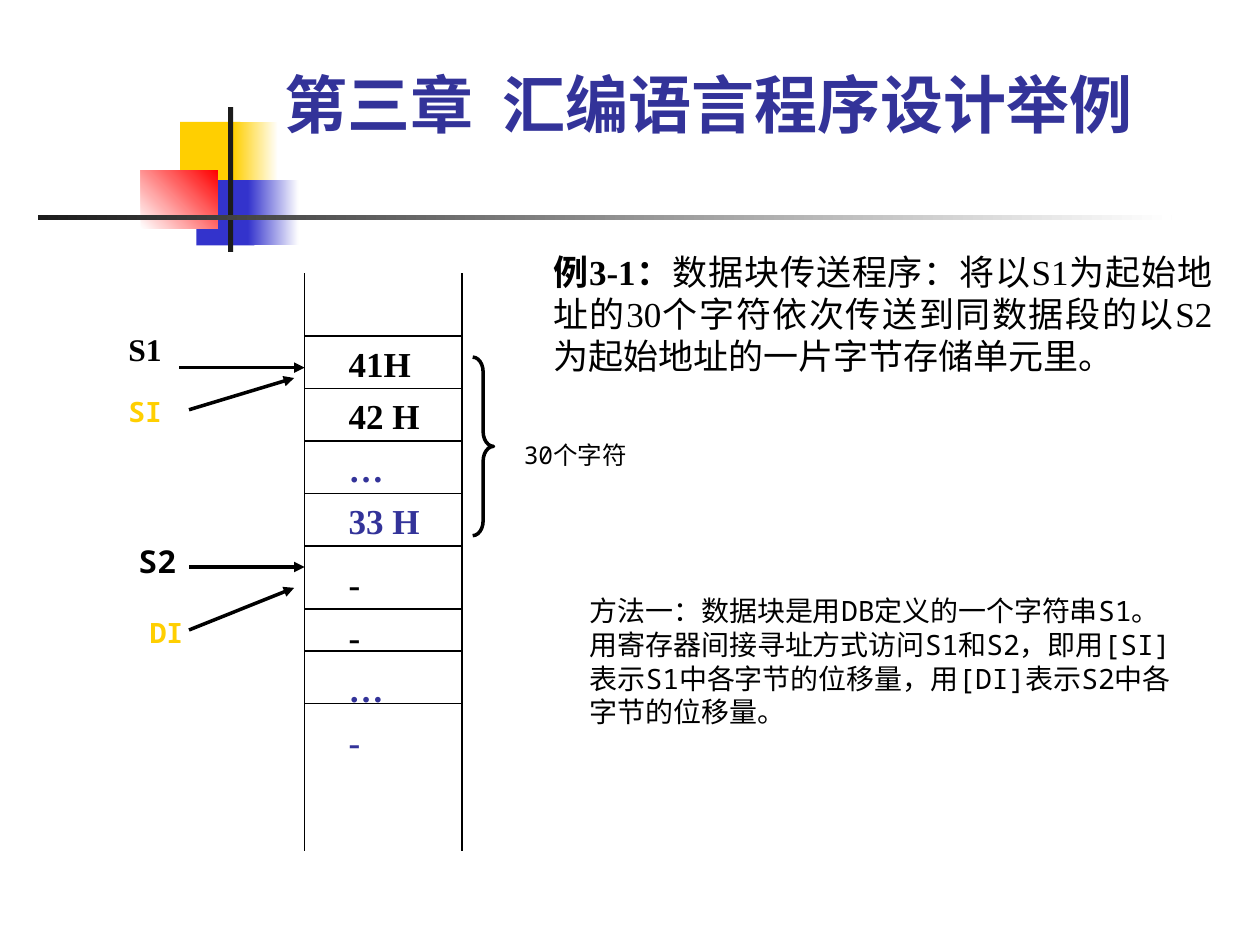
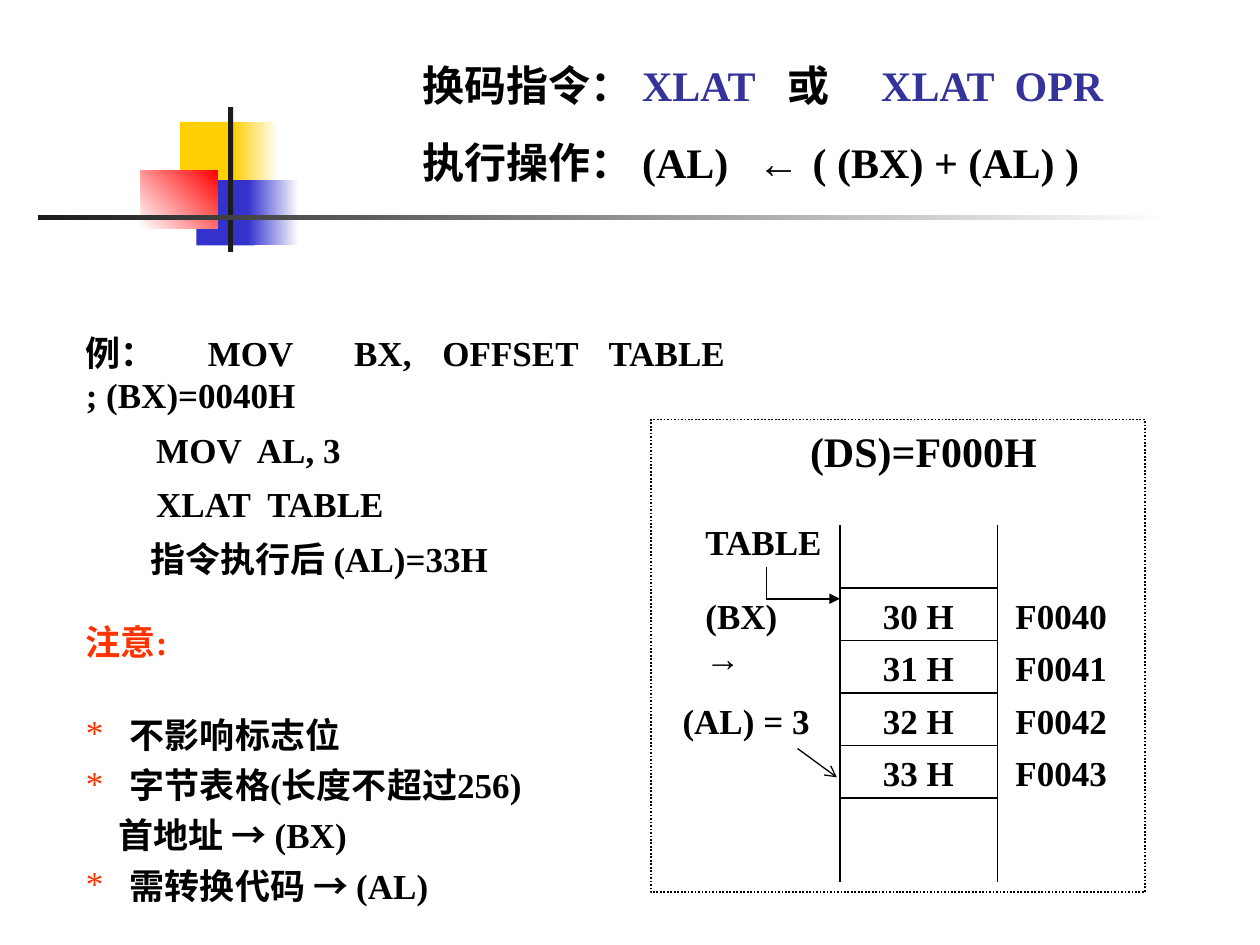
from lxml import etree
from pptx import Presentation
from pptx import util as u
from pptx.dml.color import RGBColor
from pptx.enum import dml, shapes, text
from pptx.oxml.ns import qn

BLACK = RGBColor(0x00, 0x00, 0x00)
WHITE = RGBColor(0xFF, 0xFF, 0xFF)
INK = RGBColor(0x1C, 0x1C, 0x1C)
INDIGO = RGBColor(0x33, 0x33, 0x99)
BLUE = RGBColor(0x33, 0x33, 0xCC)
YELLOW = RGBColor(0xFF, 0xCF, 0x01)
RED = RGBColor(0xFF, 0x00, 0x00)
ORANGE = RGBColor(0xFF, 0x33, 0x00)
SERIF, MONO, HAN, SANS = "Times New Roman", "Noto Sans Mono", "Noto Sans CJK SC", "Arial"

# Shared band: left, top, width, height (cm), start colour, end colour, angle
BAND = [
    (3.63, 2.46, 1.22, 1.32, YELLOW, None, 0),
    (4.70, 2.46, 0.91, 1.32, YELLOW, WHITE, 0),
    (3.96, 3.63, 1.17, 1.32, BLUE, None, 0),
    (5.00, 3.63, 1.02, 1.32, BLUE, WHITE, 0),
    (2.84, 3.43, 1.55, 1.17, WHITE, RED, 45),
    (4.60, 2.16, 0.10, 2.92, INK, None, 0),
    (0.76, 4.34, 22.86, 0.10, INK, WHITE, 0),
]
CELL_WIDTH, CELL_HEIGHT = 3.18, 1.06

# A paragraph is (runs, format); a run is a string or (string, format).
# Slide 1: block transfer
CHAPTER = [(["第三章\t汇编语言程序设计举例"], {"tabs": [4.38]})]
TASK = [([("例3-1：", {"bold": True}),
          "数据块传送程序：将以S1为起始地址的30个字符依次传送到同数据段的以S2为起始地址的一片字节存储单元里。"],
         {"align": text.PP_ALIGN.JUSTIFY})]
METHOD = ("方法一：数据块是用DB定义的一个字符串S1。用寄存器间接寻址方式访问S1和S2，"
          "即用[SI]表示S1中各字节的位移量，用[DI]表示S2中各字节的位移量。")
SOURCE_CELLS = [("41H", BLACK), ("42 H", BLACK), ("…", INDIGO), ("33 H", INDIGO)]
TARGET_CELLS = [("-", BLACK), ("-", BLACK), ("…", INDIGO), ("-", INDIGO)]
POINTERS = [  # label, left, top, format, arrow ends
    ("S1", 2.34, 6.53, {"size": 18, "font": SERIF}, (3.61, 7.41, 6.14, 7.41)),
    ("SI", 2.34, 7.83, {"size": 16, "color": YELLOW}, (3.81, 8.26, 5.93, 7.62)),
    ("S2", 2.54, 10.80, {"size": 18}, (3.81, 11.43, 6.14, 11.43)),
    ("DI", 2.77, 12.28, {"size": 16, "color": YELLOW}, (3.81, 12.70, 5.93, 11.85)),
]

# Slide 2: XLAT instruction
XLAT_HEAD = [
    (["换码指令：\t", ("XLAT\t", {"color": INDIGO}), "或\t", ("XLAT\tOPR", {"color": INDIGO})],
     {"tabs": [4.43, 7.37, 9.25, 11.94]}),
    (["执行操作：\t(AL)\t", ("←", {"font": SANS}), "\t( (BX) + (AL) )"],
     {"tabs": [4.43, 6.76, 7.87], "before": 15}),
]
ARROW = ("→", {"font": SANS})
STAR = {"bullet": "*", "indent": 0.89, "spacing": 1.2}
EXAMPLE = [
    (["例：\tMOV\tBX,\tOFFSET\tTABLE\t; (BX)=0040H"],
     {"tabs": [2.46, 5.41, 7.19, 10.54, 14.73]}),
    (["\tMOV\tAL, 3"], {"tabs": [1.42, 3.45], "spacing": 1.3}),
    (["\tXLAT\tTABLE"], {"tabs": [1.42, 3.66], "spacing": 1.3}),
    (["\t指令执行后 (AL)=33H"], {"tabs": [1.3], "spacing": 1.3}),
    ([("注意:", {"color": ORANGE})], {"before": 23.5}),
    (["不影响标志位"], {**STAR, "before": 24}),
    (["字节表格(长度不超过256)"], STAR),
    (["首地址 ", ARROW, " (BX)"], {"indent": 0.66, "spacing": 1.2}),
    (["需转换代码 ", ARROW, " (AL)"], STAR),
]
TABLE_ROWS = [("30 H", "F0040"), ("31 H", "F0041"), ("32 H", "F0042"), ("33 H", "F0043")]
TABLE_LABELS = [  # paragraphs, left, top, width, size
    ("(DS)=F000H", 16.08, 8.46, 5.5, 24),
    ("TABLE", 13.97, 10.36, 2.95, 20),
    ([(["(BX)\t", ARROW], {"tabs": [1.94]})], 13.97, 11.85, 2.95, 20),
    ("(AL) = 3", 13.51, 13.97, 3.3, 20),
]


def child(parent, tag, **attributes):
    return etree.SubElement(parent, qn(tag), attributes)


def write(frame, content, size=20, font=SERIF, color=BLACK, bold=False,
          anchor=text.MSO_ANCHOR.TOP):
    """Fill a text frame with a plain string or a list of paragraphs."""
    frame.word_wrap = True
    frame.auto_size = text.MSO_AUTO_SIZE.NONE
    frame.vertical_anchor = anchor
    if isinstance(content, str):
        content = [([content], {})]
    for number, (runs, layout) in enumerate(content):
        para = frame.add_paragraph() if number else frame.paragraphs[0]
        para.alignment = layout.get("align", text.PP_ALIGN.LEFT)
        para.line_spacing = layout.get("spacing", 1.0)
        para.space_before = u.Pt(layout.get("before", 0))
        props = para._p.get_or_add_pPr()
        indent = u.Cm(layout.get("indent", 0))
        props.set("marL", str(indent))
        if "bullet" in layout:
            props.set("indent", str(-indent))
            child(child(props, "a:buClr"), "a:srgbClr", val=str(ORANGE))
            child(props, "a:buFont", typeface=SERIF)
            child(props, "a:buChar", char=layout["bullet"])
        if "tabs" in layout:
            stops = child(props, "a:tabLst")
            for stop in layout["tabs"]:
                child(stops, "a:tab", pos=str(u.Cm(stop)), algn="l")
        for run in runs:
            words, change = (run, {}) if isinstance(run, str) else run
            span = para.add_run()
            span.text = words
            span.font.size = u.Pt(size)
            span.font.name = change.get("font", font)
            span.font.bold = change.get("bold", bold)
            span.font.color.rgb = change.get("color", color)
            child(span.font._element, "a:ea", typeface=HAN)


def place(shape, left, top, width, height):
    shape.left, shape.top, shape.width, shape.height = map(u.Cm, (left, top, width, height))


def add_title(page, content, bounds, **style):
    place(page.shapes.title, *bounds)
    write(page.shapes.title.text_frame, content, bold=True, **style)


def add_text(page, content, left, top, width, height=1.1, **style):
    box = page.shapes.add_textbox(*map(u.Cm, (left, top, width, height)))
    write(box.text_frame, content, **style)


def add_line(page, x1, y1, x2, y2, width=1, head=None):
    line = page.shapes.add_connector(
        shapes.MSO_CONNECTOR.STRAIGHT, *map(u.Cm, (x1, y1, x2, y2)))
    line.line.color.rgb = BLACK
    line.line.width = u.Pt(width)
    props = line.element.spPr
    if head:
        child(props.find(qn("a:ln")), "a:tailEnd", type=head)
    child(props, "a:effectLst")


def add_outline(page, kind, bounds, width):
    shape = page.shapes.add_shape(kind, *map(u.Cm, bounds))
    shape.shadow.inherit = False
    shape.fill.background()
    shape.line.color.rgb = BLACK
    shape.line.width = u.Pt(width)
    return shape


def add_memory(page, left, top, bottom, rules):
    """Draw a memory column: two sides and the rules between its cells."""
    for x in (left, left + CELL_WIDTH):
        add_line(page, x, top, x, bottom)
    for y in rules:
        add_line(page, left, y, left + CELL_WIDTH, y)


def add_band(page, layout):
    """Draw the band and hand it to the layout, so every slide shows it."""
    for *bounds, start, end, angle in BAND:
        block = page.shapes.add_shape(shapes.MSO_SHAPE.RECTANGLE, *map(u.Cm, bounds))
        block.shadow.inherit = False
        block.line.fill.background()
        if end is None:
            block.fill.solid()
            block.fill.fore_color.rgb = start
        else:
            block.fill.gradient()
            block.fill.gradient_angle = angle
            for stop, color in zip(block.fill.gradient_stops, (start, end)):
                stop.color.rgb = color
        layout.shapes.element.append(block.element)


def build_transfer(page):
    add_title(page, CHAPTER, (5.49, 0.71, 18.39, 2.26), size=36, font=HAN,
              color=INDIGO, anchor=text.MSO_ANCHOR.BOTTOM)
    add_text(page, TASK, 10.9, 4.93, 13.79, 3.66)
    add_text(page, METHOD, 11.64, 11.85, 12.5, 2.97, size=16, font=MONO)

    # Memory column with source and target blocks
    rules = [6.77 + CELL_HEIGHT * row for row in range(5)] + [12.28, 13.12, 14.18]
    add_memory(page, 6.14, 5.51, 17.15, rules)
    for top, cells in ((6.56, SOURCE_CELLS), (11.01, TARGET_CELLS)):
        lines = [([(cell, {"color": color})], {"spacing": 1.25}) for cell, color in cells]
        add_text(page, lines, 6.78, top, 2.12, 4.5, bold=True)

    # Pointers and brace
    for label, left, top, style, ends in POINTERS:
        add_text(page, label, left, top, 1.6, bold=True, **{"font": MONO, **style})
        add_line(page, *ends, width=2, head="triangle")
    brace = add_outline(page, shapes.MSO_SHAPE.RIGHT_BRACE, (9.53, 7.2, 0.42, 3.6), 2)
    brace.adjustments[0] = 0.71
    add_text(page, "30个字符", 10.31, 8.74, 3.3, size=14, font=MONO)


def build_xlat(page):
    add_title(page, XLAT_HEAD, (8.26, 1.07, 15.5, 2.82), size=24)
    add_text(page, EXAMPLE, 1.48, 6.56, 15.45, 11.86, bold=True)

    # Lookup table in memory
    left, first = 16.93, 11.85
    rules = [first + CELL_HEIGHT * row for row in range(len(TABLE_ROWS) + 1)]
    add_memory(page, left, 10.58, 17.78, rules)
    for top, (value, address) in zip(rules, TABLE_ROWS):
        add_text(page, value, 17.55, top, 2.4, bold=True)
        add_text(page, address, 20.22, top, 2.8, bold=True)

    # Labels, arrows and dotted frame
    for content, x, y, width, size in TABLE_LABELS:
        add_text(page, content, x, y, width, size=size, bold=True)
    add_line(page, 15.45, 11.43, 15.45, 12.07)
    add_line(page, 15.45, 12.07, left, 12.07, head="triangle")
    add_line(page, 16.08, 15.09, 16.87, 15.67, width=0.75, head="arrow")
    frame = add_outline(page, shapes.MSO_SHAPE.RECTANGLE, (13.12, 8.46, 9.96, 9.53), 1)
    frame.line.dash_style = dml.MSO_LINE.ROUND_DOT


def main():
    deck = Presentation()
    deck.slide_width, deck.slide_height = u.Cm(25.4), u.Cm(19.05)
    layout = deck.slide_layouts.get_by_name("Title Only")
    pages = [deck.slides.add_slide(layout) for _ in range(2)]
    add_band(pages[0], layout)
    build_transfer(pages[0])
    build_xlat(pages[1])
    deck.save("out.pptx")


if __name__ == "__main__":
    main()
